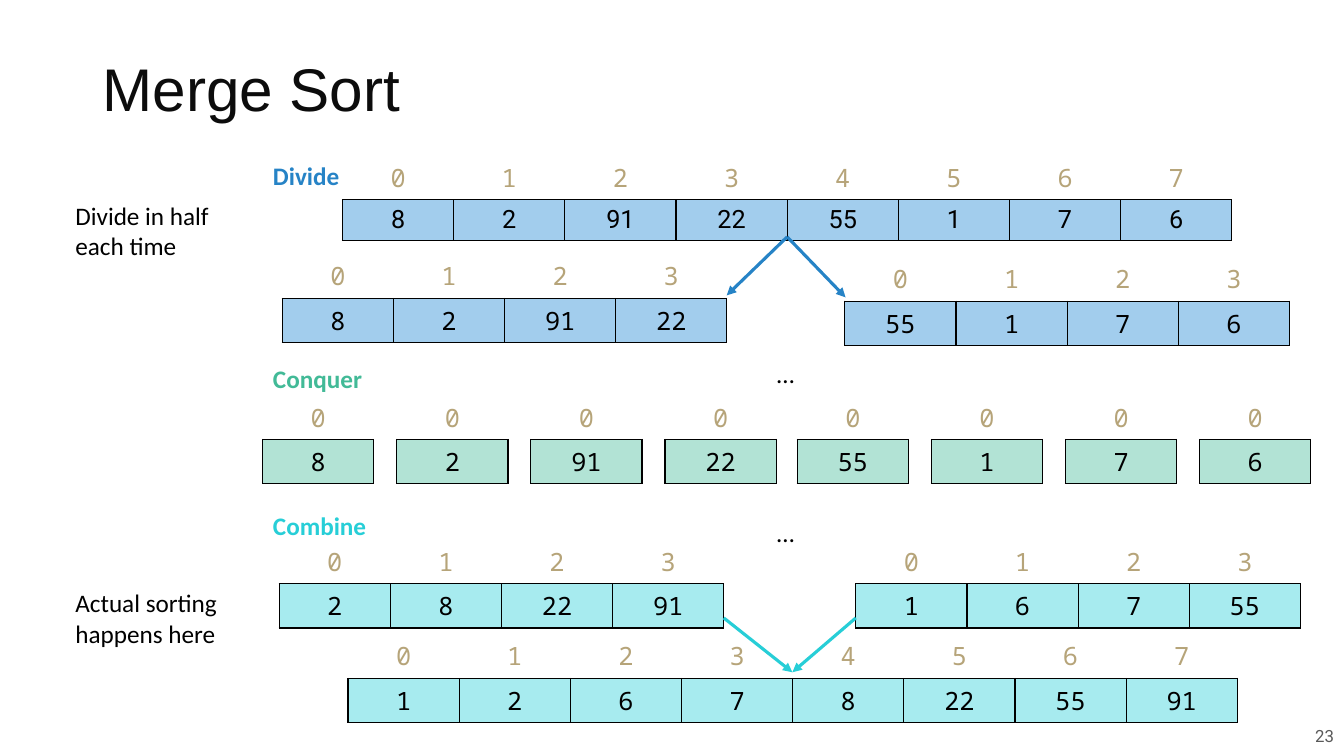
from dataclasses import dataclass

from lxml import etree
from pptx import Presentation
from pptx.dml.color import RGBColor
from pptx.enum.shapes import MSO_CONNECTOR
from pptx.enum.text import MSO_ANCHOR, MSO_AUTO_SIZE, PP_ALIGN
from pptx.oxml.ns import qn
from pptx.util import Pt

STRAIGHT = MSO_CONNECTOR.STRAIGHT
MIDDLE = MSO_ANCHOR.MIDDLE
TOP = MSO_ANCHOR.TOP
NO_AUTOFIT = MSO_AUTO_SIZE.NONE
LEFT, CENTER, RIGHT = PP_ALIGN.LEFT, PP_ALIGN.CENTER, PP_ALIGN.RIGHT
TITLE_ONLY = 5


@dataclass(frozen=True)
class Theme:
    title_font: str = "Arial"
    body_font: str = "Calibri"
    mono_font: str = "Noto Sans Mono"
    plain_font: str = "Roboto"
    title_size: int = 43
    body_size: int = 18
    number_size: int = 12
    title_color: str = "0C0C0C"
    text: str = "000000"
    background: str = "FFFFFF"
    index: str = "B6A479"
    page_number: str = "595959"
    divide: str = "2683C6"
    divide_fill: str = "A2CDED"
    conquer: str = "42BA97"
    conquer_fill: str = "B2E3D5"
    combine: str = "27CED7"
    combine_fill: str = "A7EBEF"


THEME = Theme()
CELL_WIDTH, ROW_HEIGHT = 79.4, 29.2
BORDER_SIDES = ("L", "R", "T", "B")


def style(paragraph, font, size, color, alignment=LEFT, bold=False):
    paragraph.alignment = alignment
    paragraph.font.name = font
    paragraph.font.size = Pt(size)
    paragraph.font.bold = bold
    paragraph.font.color.rgb = RGBColor.from_string(color)


def add_title(slide, text):
    title = slide.shapes.title
    title.left, title.top, title.width, title.height = Pt(66), Pt(37.5), Pt(828), Pt(60)
    frame = title.text_frame
    frame.text = text
    frame.auto_size = NO_AUTOFIT
    frame.vertical_anchor = MIDDLE
    paragraph = frame.paragraphs[0]
    paragraph.line_spacing = 0.8
    style(paragraph, THEME.title_font, THEME.title_size, THEME.title_color)


def add_text(slide, text, left, top, width, height=29, wrap=False, anchor=TOP,
             font=THEME.body_font, size=THEME.body_size, color=THEME.text,
             alignment=LEFT, bold=False):
    frame = slide.shapes.add_textbox(Pt(left), Pt(top), Pt(width), Pt(height)).text_frame
    frame.text = text
    frame.word_wrap = wrap
    frame.vertical_anchor = anchor
    style(frame.paragraphs[0], font, size, color, alignment, bold)


def set_borders(cell, colors):
    properties = cell._tc.get_or_add_tcPr()
    for side, color in zip(BORDER_SIDES, colors):
        line = etree.SubElement(properties, qn(f"a:ln{side}"), w=str(Pt(1)))
        fill = etree.SubElement(line, qn("a:solidFill"))
        etree.SubElement(fill, qn("a:srgbClr"), val=color)


def fill_cell(cell, text, font, color, fill, borders):
    set_borders(cell, borders)
    cell.fill.solid()
    cell.fill.fore_color.rgb = RGBColor.from_string(fill)
    cell.vertical_anchor = MIDDLE
    cell.text = str(text)
    style(cell.text_frame.paragraphs[0], font, THEME.body_size, color, CENTER)


def add_array(slide, values, left, top, fill, value_font=THEME.mono_font):
    """Array with its indexes in a borderless row above the values."""
    table = slide.shapes.add_table(2, len(values), Pt(left), Pt(top),
                                   Pt(CELL_WIDTH * len(values)), Pt(2 * ROW_HEIGHT)).table
    table.first_row = table.horz_banding = False
    for row in table.rows:
        row.height = Pt(ROW_HEIGHT)
    index_borders = [THEME.background] * 3 + [THEME.text]
    value_borders = [THEME.text] * 4
    for index, value in enumerate(values):
        table.columns[index].width = Pt(CELL_WIDTH)
        fill_cell(table.cell(0, index), index, THEME.mono_font, THEME.index,
                  THEME.background, index_borders)
        fill_cell(table.cell(1, index), value, value_font, THEME.text, fill, value_borders)


def add_arrow(slide, start, end, color):
    arrow = slide.shapes.add_connector(STRAIGHT, *map(Pt, start + end))
    arrow.line.width = Pt(2.25)
    arrow.line.color.rgb = RGBColor.from_string(color)
    etree.SubElement(arrow.line._get_or_add_ln(), qn("a:tailEnd"), type="triangle")
    etree.SubElement(arrow._element.spPr, qn("a:effectLst"))


def main():
    presentation = Presentation()
    presentation.slide_width, presentation.slide_height = Pt(960), Pt(540)
    slide = presentation.slides.add_slide(presentation.slide_layouts[TITLE_ONLY])
    add_title(slide, "Merge Sort")

    # Divide: whole array and its halves
    numbers = [8, 2, 91, 22, 55, 1, 7, 6]
    left_half, right_half = numbers[:4], numbers[4:]
    add_array(slide, numbers, 244.7, 110.9, THEME.divide_fill, THEME.plain_font)
    add_array(slide, left_half, 201.6, 181.4, THEME.divide_fill)
    add_array(slide, right_half, 603.5, 183.4, THEME.divide_fill)

    # Conquer: single-element arrays in two groups
    for group, group_left in ((left_half, 187.6), (right_half, 569.5)):
        for position, number in enumerate(group):
            add_array(slide, [number], group_left + 95.8 * position, 282.2,
                      THEME.conquer_fill)

    # Combine: sorted halves and the sorted whole
    add_array(slide, sorted(left_half), 199.4, 385.2, THEME.combine_fill)
    add_array(slide, sorted(right_half), 611.3, 385.2, THEME.combine_fill)
    add_array(slide, sorted(numbers), 248.6, 452.9, THEME.combine_fill)

    # Arrows between the whole array and its halves
    split, merge = (562.3, 169.2), (566, 480.2)
    for end in ((519.1, 211), (604, 212.4)):
        add_arrow(slide, split, end, THEME.divide)
    for start in ((517, 441.4), (611.3, 441.4)):
        add_arrow(slide, start, merge, THEME.combine)

    # Step names, omitted steps and side notes
    for name, top, width, color in (("Divide", 110.9, 63.4, THEME.divide),
                                    ("Conquer", 256.3, 78.5, THEME.conquer),
                                    ("Combine", 360.7, 81.4, THEME.combine)):
        add_text(slide, name, 187.9, top, width, color=color, bold=True)
    for top in (252.7, 365.8):
        add_text(slide, "…", 547.9, top, 27.4)
    for note, top in (("Divide in half each time", 139.7),
                      ("Actual sorting happens here", 416.2)):
        add_text(slide, note, 46.8, top, 132.5, 51, wrap=True)

    # Page number
    add_text(slide, "23", 622.8, 511.2, 337.2, wrap=True, anchor=MIDDLE,
             font=THEME.plain_font, size=THEME.number_size,
             color=THEME.page_number, alignment=RIGHT)

    presentation.save("out.pptx")


if __name__ == "__main__":
    main()
